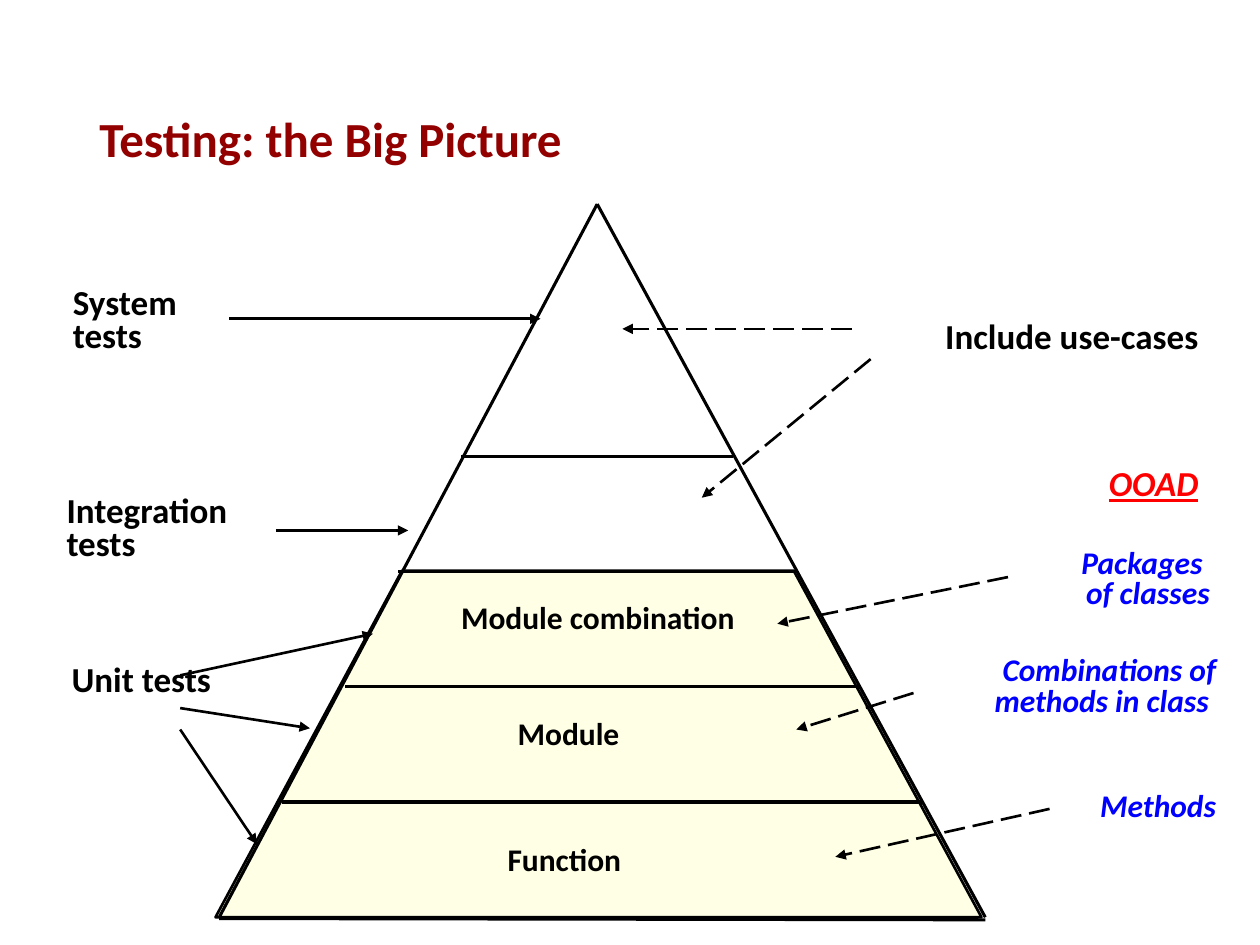
from pptx import Presentation
from pptx import util as u
from pptx.dml.color import RGBColor
from pptx.enum import dml, shapes, text
from pptx.oxml import parse_xml
from pptx.oxml.ns import nsdecls

THEME = {
    "font": "Calibri",
    "title": "920000", "ink": "000000", "method": "0000FF", "heading": "FF0000", "unit_fill": "FFFFE5",
    "title_size": 28, "label_size": 20, "level_size": 18,
    "edge": 1.75, "pointer": 1.5,
}

prs = Presentation()
prs.slide_width, prs.slide_height = u.Inches(10), u.Inches(7.5)
slide = prs.slides.add_slide(prs.slide_layouts[6])
COL = prs.slide_width / 100
ROW = prs.slide_height / 75


def write(words, left, top, width, height, size="label_size", color="ink", align="LEFT",
          spacing=0.8, italic=False, underline=False, anchor="TOP"):
    box = slide.shapes.add_textbox(round(left * COL), round(top * ROW), round(width * COL), round(height * ROW))
    frame = box.text_frame
    frame.word_wrap = True
    frame.vertical_anchor = text.MSO_ANCHOR[anchor]
    frame.text = words
    for paragraph in frame.paragraphs:
        paragraph.alignment = text.PP_ALIGN[align]
        paragraph.line_spacing = spacing
        font = paragraph.runs[0].font
        font.name, font.size = THEME["font"], u.Pt(THEME[size])
        font.bold, font.italic, font.underline = True, italic, underline
        font.color.rgb = RGBColor.from_string(THEME[color])


def draw(x1, y1, x2, y2, weight="edge", arrow=False, dashed=False):
    stroke = slide.shapes.add_connector(
        shapes.MSO_CONNECTOR.STRAIGHT,
        round(x1 * COL), round(y1 * ROW), round(x2 * COL), round(y2 * ROW))
    stroke.line.color.rgb = RGBColor.from_string(THEME["ink"])
    stroke.line.width = u.Pt(THEME[weight])
    if dashed:
        stroke.line.dash_style = dml.MSO_LINE.LONG_DASH
    if arrow:
        stroke.line._get_or_add_ln().append(parse_xml(f'<a:tailEnd {nsdecls("a")} type="triangle"/>'))
    stroke._element.spPr.append(parse_xml(f'<a:effectLst {nsdecls("a")}/>'))


unit_corners = [(17.1, 72.8), (31.9, 45.3), (63, 45.3), (77.9, 72.8)]
points = [(round(x * COL), round(y * ROW)) for x, y in unit_corners]
builder = slide.shapes.build_freeform(*points[0])
builder.add_line_segments(points[1:], close=True)
unit_levels = builder.convert_to_shape()
unit_levels.shadow.inherit = False
unit_levels.fill.solid()
unit_levels.fill.fore_color.rgb = RGBColor.from_string(THEME["unit_fill"])
unit_levels.line.color.rgb = RGBColor.from_string(THEME["ink"])
unit_levels.line.width = u.Pt(THEME["pointer"])

write("Testing: the Big Picture", 6.9, 4, 86.2, 14.5, size="title_size", color="title", spacing=0.9, anchor="MIDDLE")

apex, base_left, base_right, base = (47.4, 16.2), 17.4, 78.2, 72.8
draw(*apex, base_left, base)
draw(*apex, base_right, base)
draw(base_left, 72.9, base_right, 73)
for level, left in enumerate([22.4, 27.4, 31.6, 36.6], start=1):
    y = base - 9.15 * level
    draw(base_right - 5 * level, y, left, y)

for name, left, top, width, align in [
    ("Function", 39.3, 66.2, 16.5, "LEFT"),
    ("Module", 40.1, 56.2, 14.6, "LEFT"),
    ("Module combination", 31.7, 47, 31.5, "CENTER"),
]:
    write(name, left, top, width, 5, size="level_size", align=align, spacing=1)

for pointer in [
    (14.3, 53.6, 29.6, 50.3),
    (14.3, 56.2, 24.6, 57.8),
    (14.3, 57.9, 20.4, 67),
    (21.9, 42.1, 32.4, 42.1),
    (18.2, 25.3, 42.9, 25.3),
]:
    draw(*pointer, weight="pointer", arrow=True)

for name, left, top, width in [
    ("Integration tests", 4.3, 38.9, 19),
    ("System tests", 4.8, 22.4, 14.6),
    ("Unit tests", 4.7, 52.3, 13.7),
]:
    write(name, left, top, width, 6.4)

for name, left, top, width, height in [
    ("Methods", 85.1, 62.5, 12.4, 3.4),
    ("Combinations of methods in class ", 72, 51.7, 25.5, 5.9),
    ("Packages \nof classes", 82.6, 43.2, 14.4, 5.9),
]:
    write(name, left, top, width, height, size="level_size", color="method", align="RIGHT", italic=True)

write("OOAD", 85.7, 36.8, 10.4, 3.7, color="heading", align="RIGHT", italic=True, underline=True)
write("Include use-cases", 65.4, 25.1, 30.7, 3.7, align="RIGHT")

for pointer in [
    (83.3, 64.2, 66.3, 68),
    (72.5, 55, 63.2, 57.9),
    (80, 45.8, 61.7, 49.5),
    (67.6, 26.1, 49.4, 26.1),
    (69.1, 28.5, 55.7, 39.5),
]:
    draw(*pointer, weight="pointer", arrow=True, dashed=True)

prs.save("out.pptx")
